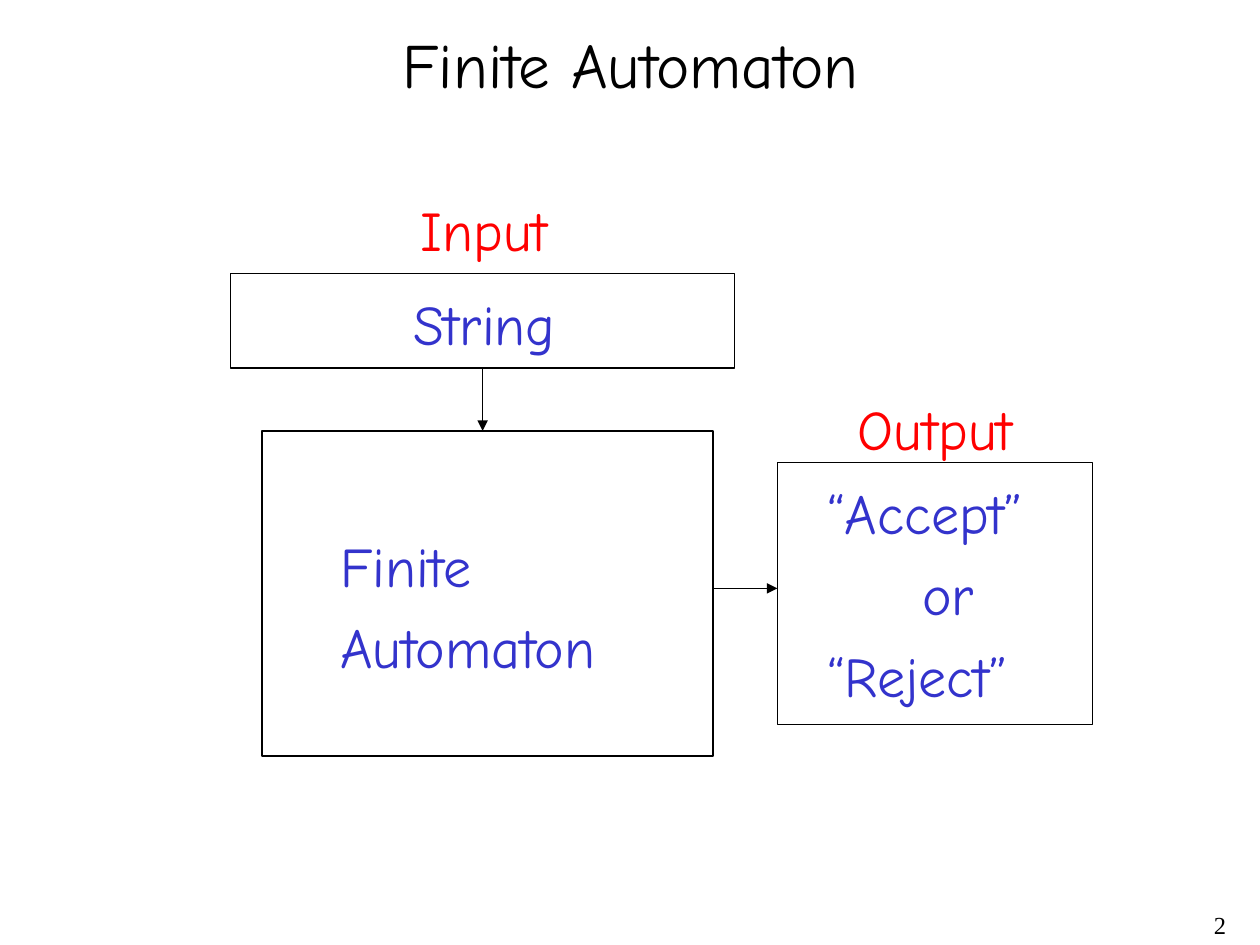
import pptx
import pptx.dml.color
import pptx.enum.shapes
import pptx.enum.text
import pptx.oxml
import pptx.oxml.ns
import pptx.util
from dataclasses import dataclass

Inches = pptx.util.Inches
Pt = pptx.util.Pt
Align = pptx.enum.text.PP_ALIGN


@dataclass(frozen=True)
class Theme:
    font: str = "Comic Neue"
    number_font: str = "Times New Roman"
    black: str = "000000"
    caption: str = "FF0000"
    content: str = "3333CC"
    title_size: int = 36
    body_size: int = 32
    number_size: int = 14
    line_width: float = 0.75


theme = Theme()


def rgb(code):
    return pptx.dml.color.RGBColor.from_string(code)


def write(para, text, color, size, font=theme.font):
    """Append one formatted run to the paragraph."""
    span = para.add_run()
    span.text = text
    span.font.name = font
    span.font.size = Pt(size)
    span.font.color.rgb = rgb(color)


deck = pptx.Presentation()
deck.slide_width, deck.slide_height = Inches(10), Inches(7.5)
page = deck.slides.add_slide(deck.slide_layouts[5])

# Title
title = page.shapes.title
title.left, title.top = Inches(0.17), Inches(0.17)
title.width, title.height = Inches(9.67), Inches(0.67)
title.text_frame.vertical_anchor = pptx.enum.text.MSO_ANCHOR.MIDDLE
title_para = title.text_frame.paragraphs[0]
title_para.alignment = Align.CENTER
write(title_para, "Finite Automaton", theme.black, theme.title_size)

# Boxes of the diagram
frames = {}
for name, bounds in {
    "machine": (2.08, 3.42, 3.58, 2.58),
    "input": (1.83, 2.17, 4, 0.75),
    "output": (6.17, 3.67, 2.5, 2.08),
}.items():
    box = page.shapes.add_shape(
        pptx.enum.shapes.MSO_SHAPE.RECTANGLE, *map(Inches, bounds))
    box.shadow.inherit = False
    box.fill.background()
    box.line.color.rgb = rgb(theme.black)
    box.line.width = Pt(theme.line_width)
    frames[name] = box

# Captions and contents; each line is a text and its left indent in inches
labels = [
    ((3.24, 1.5, 1.21, 0.64), theme.caption, [("Input", 0)]),
    ((6.71, 3.08, 1.43, 0.64), theme.caption, [("Output", 0)]),
    ((3.18, 2.25, 1.33, 0.64), theme.content, [("String", 0)]),
    ((2.6, 4.17, 2.25, 1.28), theme.content, [("Finite", 0), ("Automaton", 0)]),
    ((6.47, 3.75, 1.75, 1.93), theme.content,
     [("“Accept”", 0), ("or", 0.75), ("“Reject”", 0)]),
]
for bounds, color, lines in labels:
    box = page.shapes.add_textbox(*map(Inches, bounds))
    frame = box.text_frame
    frame.word_wrap = False
    frame.auto_size = pptx.enum.text.MSO_AUTO_SIZE.SHAPE_TO_FIT_TEXT
    for index, (text, indent) in enumerate(lines):
        para = frame.add_paragraph() if index else frame.paragraphs[0]
        para.alignment = Align.LEFT
        para.space_before = Pt(8)
        if indent:
            para._p.get_or_add_pPr().set("marL", str(Inches(indent)))
        write(para, text, color, theme.body_size)

# Arrows: input to machine, machine to output
arrows = []
for ends in [(3.83, 2.92, 3.83, 3.42), (5.67, 4.67, 6.17, 4.67)]:
    arrow = page.shapes.add_connector(
        pptx.enum.shapes.MSO_CONNECTOR.STRAIGHT, *map(Inches, ends))
    arrow.line.color.rgb = rgb(theme.black)
    arrow.line.width = Pt(theme.line_width)
    head = pptx.oxml.parse_xml(
        f'<a:tailEnd {pptx.oxml.ns.nsdecls("a")} type="triangle"/>')
    arrow.line._get_or_add_ln().append(head)
    arrow._element.spPr.append(
        pptx.oxml.parse_xml(f'<a:effectLst {pptx.oxml.ns.nsdecls("a")}/>'))
    arrows.append(arrow)
arrows[0].begin_connect(frames["input"], 2)

# Page number
number = page.shapes.add_textbox(*map(Inches, (7.75, 7.17, 2.08, 0.33)))
number.text_frame.word_wrap = True
number_para = number.text_frame.paragraphs[0]
number_para.alignment = Align.RIGHT
write(number_para, "2", theme.black, theme.number_size, theme.number_font)

deck.save("out.pptx")
